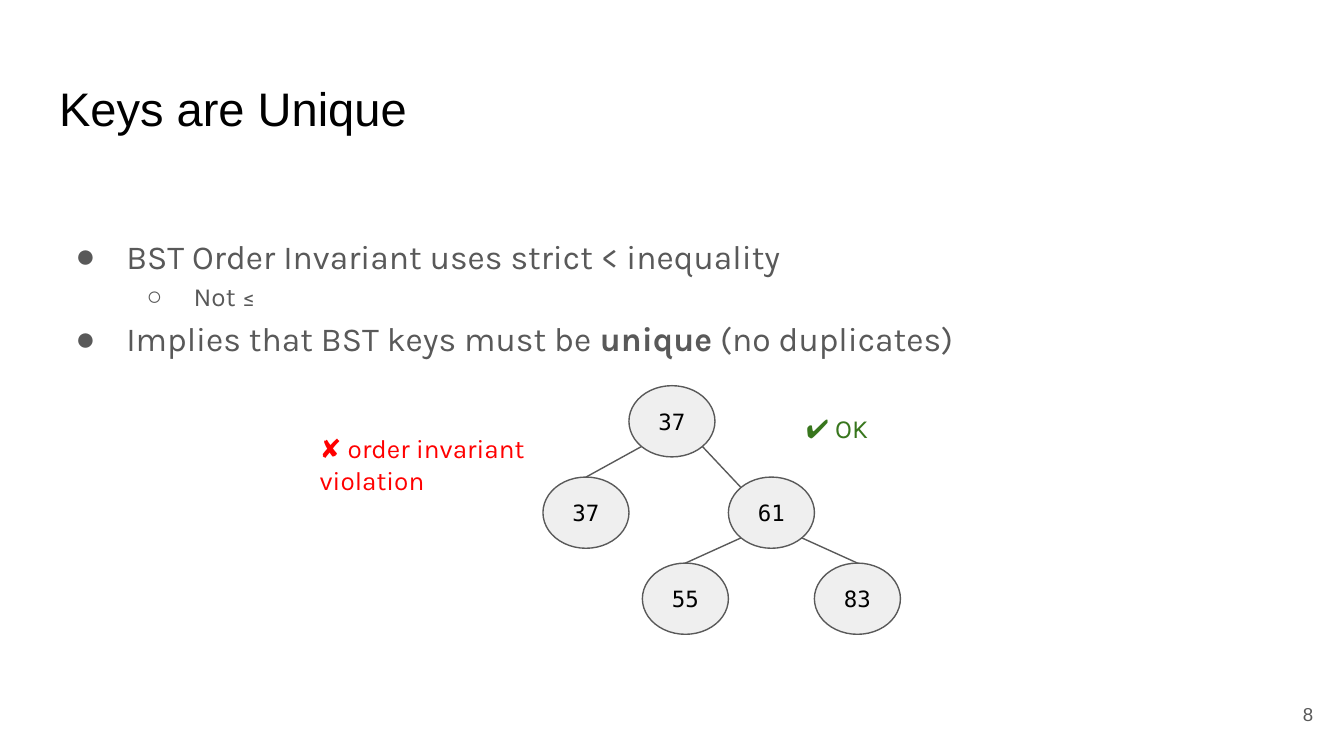
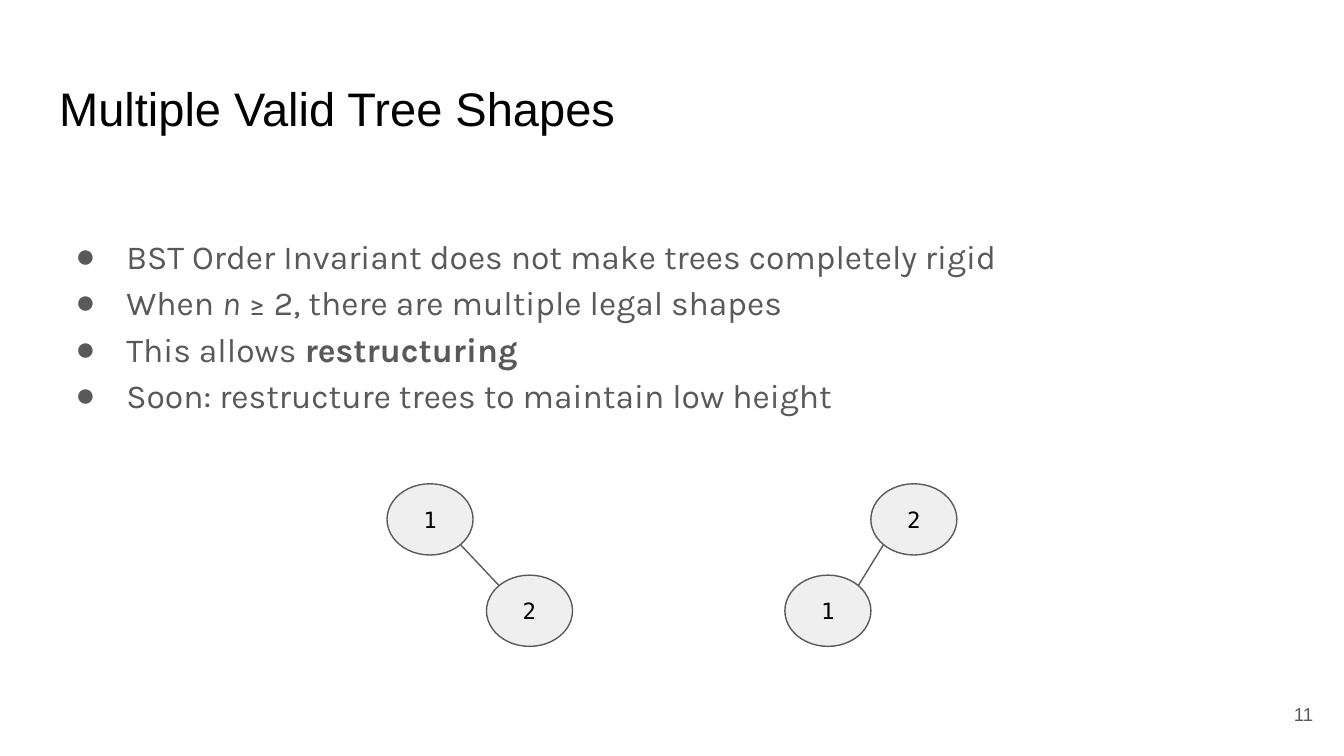
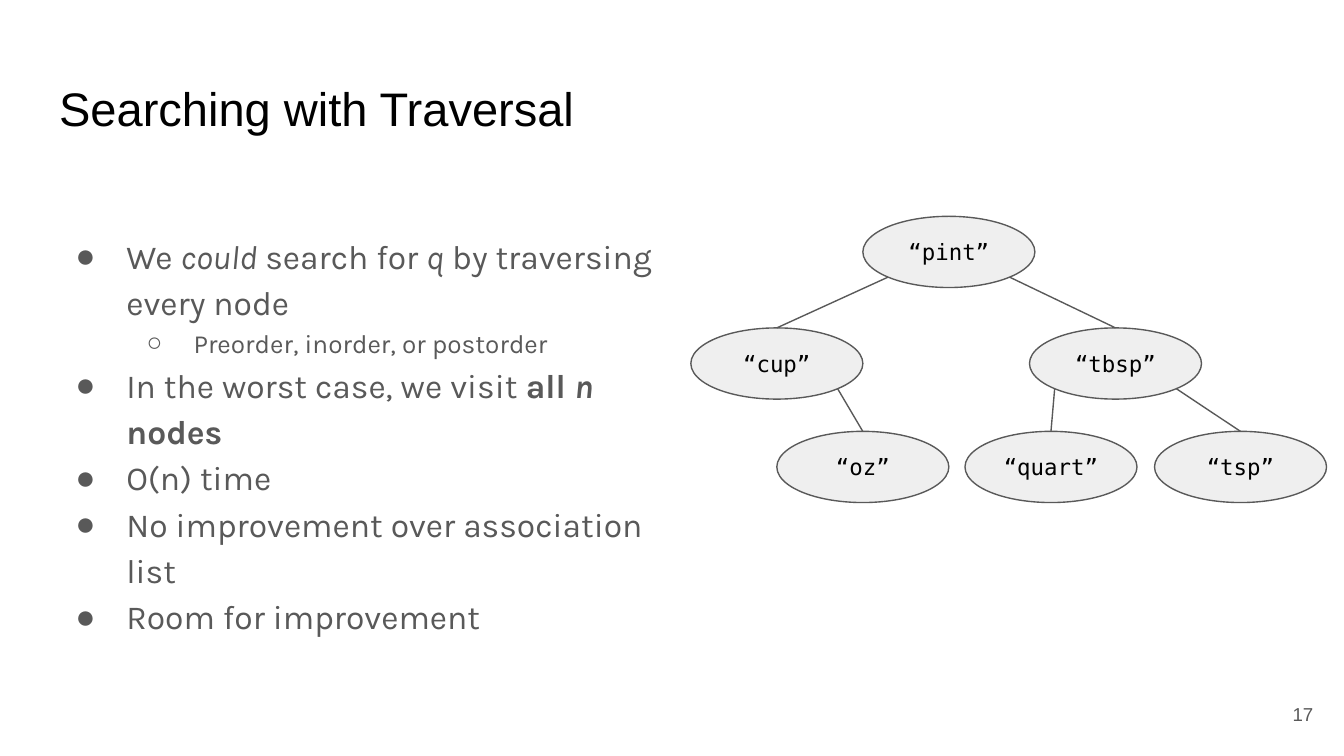
import math

import pptx
import pptx.dml.color
import pptx.enum.shapes
import pptx.enum.text
import pptx.oxml
import pptx.oxml.ns
import pptx.util

Inches = pptx.util.Inches
Pt = pptx.util.Pt
Align = pptx.enum.text.PP_ALIGN
Anchor = pptx.enum.text.MSO_ANCHOR

GREY, BLACK, NODE_FILL, GREEN, RED = "595959", "000000", "EFEFEF", "38761D", "FF0000"
TITLE_FONT, BODY_FONT, NODE_FONT = "Arial", "Karla", "DejaVu Sans Mono"
NODE_HEIGHT = 0.53
DIAGONAL = math.sqrt(0.5) / 2
NAMESPACE = pptx.oxml.ns.nsdecls("a")
LEVELS = [
    {"bullet": "●", "size": 18, "left": 0.5, "hanging": 0.38},
    {"bullet": "○", "size": 14, "left": 1, "hanging": 0.35},
]


def colour(code):
    return pptx.dml.color.RGBColor.from_string(code)


def write(frame, text, size, font=BODY_FONT, color=GREY, align=Align.LEFT, anchor=Anchor.TOP):
    frame.word_wrap = True
    frame.auto_size = pptx.enum.text.MSO_AUTO_SIZE.NONE
    frame.vertical_anchor = anchor
    frame.margin_left = frame.margin_right = Inches(0.1)
    frame.margin_top = frame.margin_bottom = Inches(0.1)
    para = frame.add_paragraph() if frame.paragraphs[0].runs else frame.paragraphs[0]
    para.alignment = align
    for words, style in [(text, "")] if isinstance(text, str) else text:
        span = para.add_run()
        span.text = words
        span.font.size = Pt(size)
        span.font.name = font
        span.font.color.rgb = colour(color)
        span.font.bold = "b" in style
        span.font.italic = "i" in style
    return para


slides = [
    {
        "title": "Keys are Unique",
        "number": "8",
        "body_size": (9.32, 1.27),
        "points": [
            (0, "BST Order Invariant uses strict < inequality"),
            (1, "Not ≤"),
            (0, [("Implies that BST keys must be ", ""), ("unique", "b"), (" (no duplicates)", "")]),
        ],
        "node_width": 0.64,
        "grouped": False,
        "trees": [
            {
                "nodes": [("37", 4.68, 2.87), ("37", 4.04, 3.55), ("61", 5.42, 3.55),
                          ("55", 4.78, 4.19), ("83", 6.06, 4.19)],
                "edges": [(0, 1, "top"), (0, 2, "corner"), (2, 3, "top"), (2, 4, "top")],
            },
        ],
        "remarks": [
            ("✔ OK", GREEN, (5.9, 2.97, 1.28, 0.47)),
            ("✘ order invariant violation", RED, (2.28, 3.12, 2.33, 0.43)),
        ],
    },
    {
        "title": "Multiple Valid Tree Shapes",
        "number": "11",
        "body_size": (9.32, 1.62),
        "points": [
            (0, "BST Order Invariant does not make trees completely rigid"),
            (0, [("When ", ""), ("n", "i"), (" ≥ 2, there are multiple legal shapes", "")]),
            (0, [("This allows ", ""), ("restructuring", "b")]),
            (0, "Soon: restructure trees to maintain low height"),
        ],
        "node_width": 0.64,
        "grouped": True,
        "trees": [
            {"nodes": [("1", 2.88, 3.6), ("2", 3.62, 4.28)], "edges": [(0, 1, "corner")]},
            {"nodes": [("2", 6.48, 3.6), ("1", 5.84, 4.28)], "edges": [(0, 1, "corner")]},
        ],
        "remarks": [],
    },
    {
        "title": "Searching with Traversal",
        "number": "17",
        "body_size": (4.76, 3.39),
        "points": [
            (0, [("We ", ""), ("could", "i"), (" search for ", ""), ("q", "i"),
                 (" by traversing every node", "")]),
            (1, "Preorder, inorder, or postorder"),
            (0, [("In the worst case, we visit ", ""), ("all ", "b"), ("n", "bi"), (" nodes", "b")]),
            (0, "O(n) time"),
            (0, "No improvement over association list"),
            (0, "Room for improvement"),
        ],
        "node_width": 1.28,
        "grouped": True,
        "trees": [
            {
                "nodes": [("“pint”", 6.42, 1.61), ("“cup”", 5.14, 2.44), ("“tbsp”", 7.66, 2.44),
                          ("“oz”", 5.78, 3.21), ("“quart”", 7.18, 3.21), ("“tsp”", 8.59, 3.21)],
                "edges": [(0, 1, "top"), (0, 2, "top"), (1, 3, "top"), (2, 4, "top"), (2, 5, "top")],
            },
        ],
        "remarks": [],
    },
]

deck = pptx.Presentation()
deck.slide_width = Inches(10)
deck.slide_height = Inches(10 * 9 / 16)

for content in slides:
    page = deck.slides.add_slide(deck.slide_layouts[1])
    page.background.fill.solid()
    page.background.fill.fore_color.rgb = colour("FFFFFF")

    title = page.shapes.title
    title.left, title.top, title.width, title.height = map(Inches, (0.34, 0.49, 9.32, 0.63))
    write(title.text_frame, content["title"], 25.2, font=TITLE_FONT, color=BLACK)

    body = page.placeholders[1]
    body.left, body.top, body.width, body.height = map(Inches, (0.34, 1.61, *content["body_size"]))
    for depth, text in content["points"]:
        level = LEVELS[depth]
        para = write(body.text_frame, text, level["size"])
        para.level = depth
        para.line_spacing = 1.15
        para.space_before = para.space_after = Pt(0)
        properties = para._p.get_or_add_pPr()
        properties.set("marL", str(Inches(level["left"])))
        properties.set("indent", str(-Inches(level["hanging"])))
        for markup in (
            f'<a:buClr {NAMESPACE}><a:srgbClr val="{GREY}"/></a:buClr>',
            f'<a:buChar {NAMESPACE} char="{level["bullet"]}"/>',
        ):
            properties.append(pptx.oxml.parse_xml(markup))

    number = page.shapes.add_textbox(*map(Inches, (9.27, 5.1, 0.6, 0.43)))
    write(number.text_frame, content["number"], 10, font=TITLE_FONT,
          align=Align.RIGHT, anchor=Anchor.MIDDLE)

    width = content["node_width"]
    for tree in content["trees"]:
        shapes = page.shapes.add_group_shape().shapes if content["grouped"] else page.shapes
        ellipses = []
        for key, left, top in tree["nodes"]:
            ellipse = shapes.add_shape(pptx.enum.shapes.MSO_SHAPE.OVAL,
                                       *map(Inches, (left, top, width, NODE_HEIGHT)))
            ellipse.shadow.inherit = False
            ellipse.fill.solid()
            ellipse.fill.fore_color.rgb = colour(NODE_FILL)
            ellipse.line.color.rgb = colour(GREY)
            ellipse.line.width = Pt(0.75)
            write(ellipse.text_frame, key, 12, font=NODE_FONT, color=BLACK,
                  align=Align.CENTER, anchor=Anchor.MIDDLE)
            ellipses.append(ellipse)

        for parent, child, site in tree["edges"]:
            _, parent_left, parent_top = tree["nodes"][parent]
            _, child_left, child_top = tree["nodes"][child]
            side = math.copysign(DIAGONAL, child_left - parent_left)
            start_x = parent_left + width * (0.5 + side)
            start_y = parent_top + NODE_HEIGHT * (0.5 + DIAGONAL)
            end_x, end_y = child_left + width / 2, child_top
            if site == "corner":
                end_x -= width * side
                end_y += NODE_HEIGHT * (0.5 - DIAGONAL)
            edge = shapes.add_connector(pptx.enum.shapes.MSO_CONNECTOR.STRAIGHT,
                                        *map(Inches, (start_x, start_y, end_x, end_y)))
            if site == "top":
                edge.end_connect(ellipses[child], 0)
            edge.line.color.rgb = colour(GREY)
            edge.line.width = Pt(0.75)
            edge._element.spPr.append(pptx.oxml.parse_xml(f"<a:effectLst {NAMESPACE}/>"))

    for text, color, place in content["remarks"]:
        remark = page.shapes.add_textbox(*map(Inches, place))
        write(remark.text_frame, text, 14, color=color)

deck.save("out.pptx")
